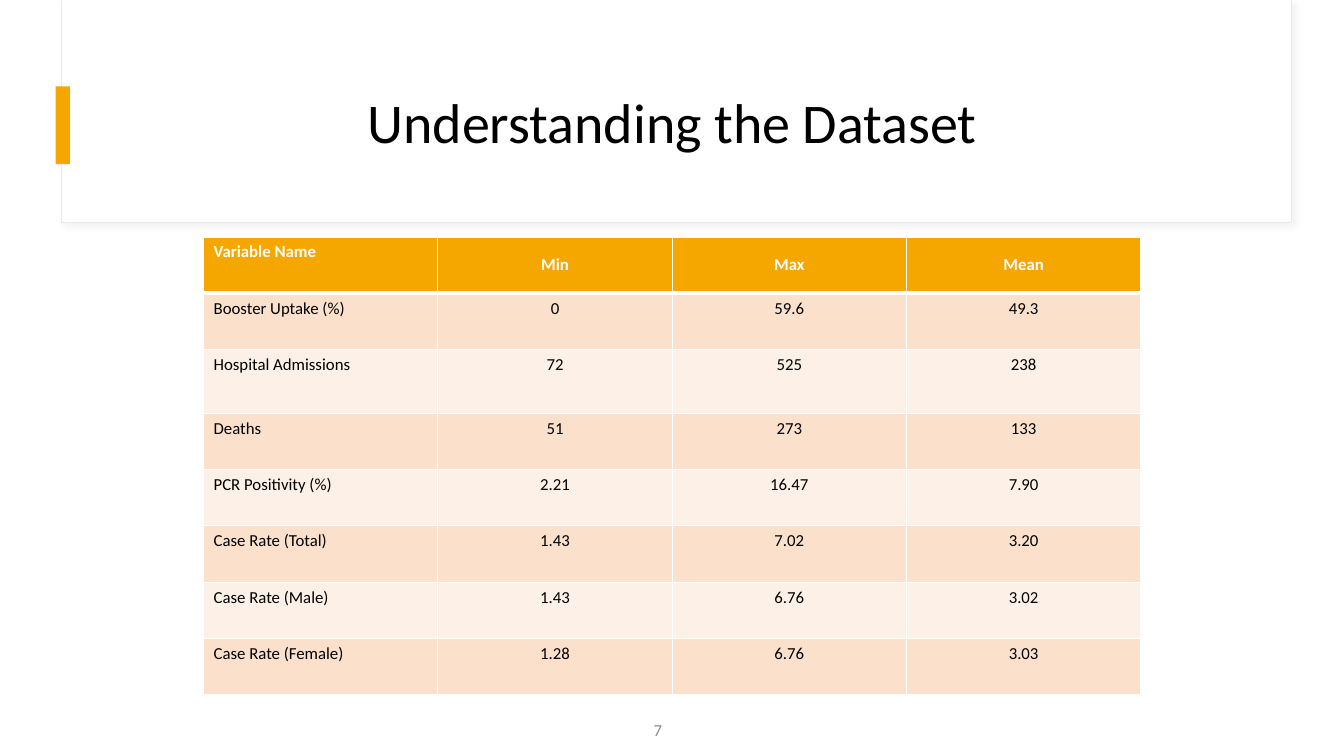
"""Build the dataset summary slide."""
from dataclasses import dataclass

from lxml.etree import SubElement
from pptx import Presentation
from pptx.dml.color import RGBColor
from pptx.enum.shapes import MSO_SHAPE as Kind
from pptx.enum.text import MSO_ANCHOR as Anchor, PP_ALIGN as Align
from pptx.oxml import parse_xml
from pptx.oxml.ns import nsdecls, qn
from pptx.slide import Slide
from pptx.util import Cm, Pt

FONT = "Calibri"
HUES = {
    "white": "FFFFFF", "black": "000000", "gold": "F5A700", "edge": "E9E9E9",
    "shade": "D9D9D9", "gray": "8C8C8C", "dark": "FBE1CC", "light": "FDF1E7",
}
ROWS = [
    ("Variable Name", "Min", "Max", "Mean"),
    ("Booster Uptake (%)", "0", "59.6", "49.3"),
    ("Hospital Admissions", "72", "525", "238"),
    ("Deaths", "51", "273", "133"),
    ("PCR Positivity (%)", "2.21", "16.47", "7.90"),
    ("Case Rate (Total)", "1.43", "7.02", "3.20"),
    ("Case Rate (Male)", "1.43", "6.76", "3.02"),
    ("Case Rate (Female)", "1.28", "6.76", "3.03"),
]
TALL_ROW = 2


@dataclass
class Box:
    """A place on the slide, in centimetres."""
    left: float
    top: float
    width: float
    height: float

    def lengths(self) -> tuple:
        """Return the four sides as lengths."""
        return Cm(self.left), Cm(self.top), Cm(self.width), Cm(self.height)


@dataclass
class Panel:
    """A plain rectangle of the slide frame."""
    box: Box
    fill: str
    edge: str = ""
    shade: bool = False


PANELS = [
    Panel(Box(1.55, 0, 31.01, 5.61), "white", "edge", True),
    Panel(Box(1.4, 2.18, 0.36, 1.96), "gold"),
]


def hue(name: str) -> RGBColor:
    """Look up a colour."""
    return RGBColor.from_string(HUES[name])


def style(para, size: float, tint: str, align: Align, bold: bool = False) -> None:
    """Format one paragraph."""
    para.alignment = align
    font = para.font
    font.name, font.size, font.bold = FONT, Pt(size), bold
    font.color.rgb = hue(tint)


def add_panel(slide: Slide, panel: Panel) -> None:
    """Draw one frame rectangle."""
    shape = slide.shapes.add_shape(Kind.RECTANGLE, *panel.box.lengths())
    shape.shadow.inherit = False
    shape.fill.solid()
    shape.fill.fore_color.rgb = hue(panel.fill)
    if panel.edge:
        shape.line.color.rgb = hue(panel.edge)
        shape.line.width = Pt(0.75)
    else:
        shape.line.fill.background()
    if panel.shade:
        glow = shape._element.spPr.find(qn("a:effectLst"))
        glow.append(parse_xml(
            f'<a:outerShdw {nsdecls("a")} blurRad="{Pt(4)}" dist="{Pt(3)}" '
            f'dir="2700000" algn="tl" rotWithShape="0">'
            f'<a:srgbClr val="{HUES["shade"]}"><a:alpha val="30000"/></a:srgbClr>'
            f'</a:outerShdw>'))


def add_title(slide: Slide, text: str, box: Box) -> None:
    """Place the title in front of the panels."""
    title = slide.shapes.title
    title.left, title.top, title.width, title.height = box.lengths()
    slide.shapes._spTree.append(title._element)
    frame = title.text_frame
    frame.text = text
    frame.vertical_anchor = Anchor.MIDDLE
    para = frame.paragraphs[0]
    para.line_spacing = 0.9
    style(para, 40, "black", Align.CENTER)


def add_number(slide: Slide, text: str, box: Box) -> None:
    """Write the page number."""
    frame = slide.shapes.add_textbox(*box.lengths()).text_frame
    frame.word_wrap = True
    frame.vertical_anchor = Anchor.MIDDLE
    frame.text = text
    style(frame.paragraphs[0], 12, "gray", Align.RIGHT)


def add_edges(cell, top: float, base: float) -> None:
    """Rule the four sides of a cell in white."""
    props = cell._tc.get_or_add_tcPr()
    for side, width in (("L", 1), ("R", 1), ("T", top), ("B", base)):
        line = SubElement(props, qn(f"a:ln{side}"), w=str(Pt(width)))
        fill = SubElement(line, qn("a:solidFill"))
        SubElement(fill, qn("a:srgbClr"), val=HUES["white"])


def add_grid(slide: Slide, box: Box) -> None:
    """Draw the table of variables."""
    grid = slide.shapes.add_table(len(ROWS), len(ROWS[0]), *box.lengths()).table
    for r, row in enumerate(ROWS):
        grid.rows[r].height = Cm(1.6 if r == TALL_ROW else 1.42)
        head = r == 0
        back = "gold" if head else ("light", "dark")[r % 2]
        for c, text in enumerate(row):
            cell = grid.cell(r, c)
            cell.text = text
            add_edges(cell, 3 if r == 1 else 1, 3 if head else 1)
            cell.fill.solid()
            cell.fill.fore_color.rgb = hue(back)
            cell.vertical_anchor = Anchor.MIDDLE if head and c else Anchor.TOP
            style(cell.text_frame.paragraphs[0], 12, "white" if head else "black",
                  Align.CENTER if c else Align.LEFT, head)


def main() -> None:
    """Build and save the deck."""
    deck = Presentation()
    deck.slide_width, deck.slide_height = Cm(33.87), Cm(19.05)
    slide = deck.slides.add_slide(deck.slide_layouts[5])
    for panel in PANELS:
        add_panel(slide, panel)
    add_title(slide, "Understanding the Dataset", Box(2.82, 1.52, 28.24, 3.28))
    add_number(slide, "7", Box(9.32, 17.88, 7.62, 1.02))
    add_grid(slide, Box(5.13, 5.97, 23.62, 11.54))
    deck.save("out.pptx")


if __name__ == "__main__":
    main()
